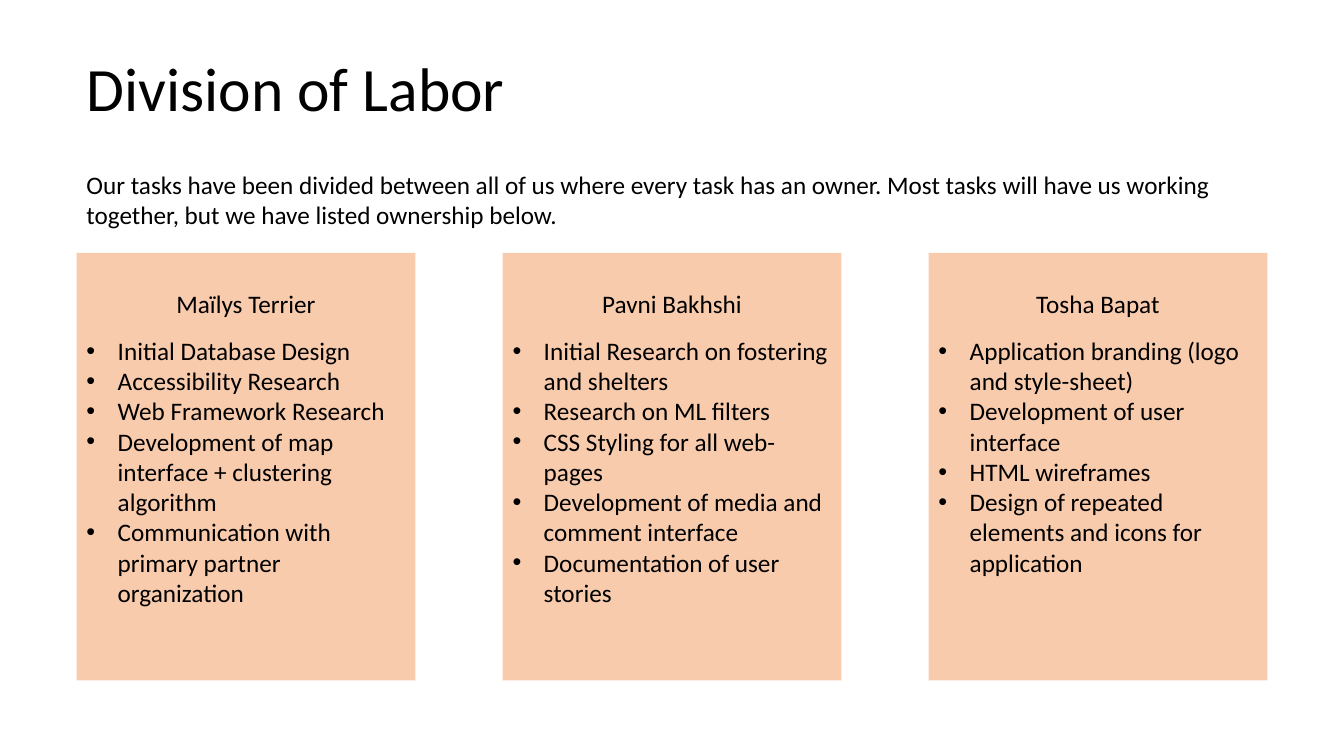
from dataclasses import dataclass

from lxml import etree
from pptx import Presentation
from pptx.dml.color import RGBColor
from pptx.enum.shapes import MSO_SHAPE
from pptx.enum.text import MSO_ANCHOR, MSO_AUTO_SIZE, PP_ALIGN
from pptx.oxml.ns import qn
from pptx.util import Inches, Pt

RECT = MSO_SHAPE.RECTANGLE
TOP, MIDDLE = MSO_ANCHOR.TOP, MSO_ANCHOR.MIDDLE
LEFT, CENTER = PP_ALIGN.LEFT, PP_ALIGN.CENTER
NO_FIT, GROW = MSO_AUTO_SIZE.NONE, MSO_AUTO_SIZE.SHAPE_TO_FIT_TEXT

BLACK = RGBColor(0x00, 0x00, 0x00)
PEACH = RGBColor(0xF8, 0xCB, 0xAD)
FONT = "Calibri"
TITLE_SIZE, BODY_SIZE = Pt(44), Pt(18)

# Grid: one margin, three columns at an equal pitch, three rows
MARGIN = Inches(0.76)
CONTENT_W = Inches(11.5)
COLUMN_PITCH = Inches(4.225)
CARD_W, CARD_H = Inches(3.36), Inches(4.24)
TITLE_TOP, INTRO_TOP, CARD_TOP = Inches(0.18), Inches(1.63), Inches(2.51)
TITLE_H, INTRO_H = Inches(1.45), Inches(0.71)
CARD_INSET = Inches(0.35)
BULLET_INDENT = Inches(0.31)


@dataclass(frozen=True)
class Member:
    """A team member and the tasks they own."""
    name: str
    tasks: tuple[str, ...]


INTRO = ("Our tasks have been divided between all of us where every task has "
         "an owner. Most tasks will have us working together, but we have "
         "listed ownership below.")

MEMBERS = (
    Member("Maïlys Terrier", (
        "Initial Database Design",
        "Accessibility Research",
        "Web Framework Research",
        "Development of map interface + clustering algorithm",
        "Communication with primary partner organization",
    )),
    Member("Pavni Bakhshi", (
        "Initial Research on fostering and shelters",
        "Research on ML filters",
        "CSS Styling for all web-pages",
        "Development of media and comment interface",
        "Documentation of user stories",
    )),
    Member("Tosha Bapat", (
        "Application branding (logo and style-sheet)",
        "Development of user interface",
        "HTML wireframes",
        "Design of repeated elements and icons for application",
    )),
)


def write(p, text: str, size=BODY_SIZE, align=LEFT) -> None:
    """Add one formatted run to a paragraph."""
    p.alignment = align
    r = p.add_run()
    r.text = text
    r.font.name, r.font.size = FONT, size
    r.font.color.rgb = BLACK


def add_bullet(p) -> None:
    """Give a paragraph a hanging round bullet."""
    pPr = p._p.get_or_add_pPr()
    pPr.set("marL", str(BULLET_INDENT))
    pPr.set("indent", str(-BULLET_INDENT))
    etree.SubElement(pPr, qn("a:buFont"), typeface="Arial")
    etree.SubElement(pPr, qn("a:buChar"), char="•")


def add_title(s, text: str) -> None:
    """Place and format the title placeholder."""
    sp = s.shapes.title
    sp.left, sp.top, sp.width, sp.height = MARGIN, TITLE_TOP, CONTENT_W, TITLE_H
    tf = sp.text_frame
    tf.vertical_anchor, tf.auto_size = MIDDLE, NO_FIT
    p = tf.paragraphs[0]
    p.line_spacing = 0.9
    write(p, text, TITLE_SIZE)


def add_intro(s, text: str) -> None:
    """Add the introduction under the title."""
    tf = s.shapes.add_textbox(MARGIN, INTRO_TOP, CONTENT_W, INTRO_H).text_frame
    tf.word_wrap, tf.auto_size = True, GROW
    write(tf.paragraphs[0], text)


def add_card(s, column: int, member: Member) -> None:
    """Add a member's card in the given column."""
    sp = s.shapes.add_shape(RECT, MARGIN + column * COLUMN_PITCH, CARD_TOP,
                            CARD_W, CARD_H)
    sp.shadow.inherit = False
    sp.fill.solid()
    sp.fill.fore_color.rgb = PEACH
    sp.line.fill.background()
    tf = sp.text_frame
    tf.word_wrap, tf.vertical_anchor = True, TOP
    tf.margin_top = CARD_INSET
    p = tf.paragraphs[0]
    p.space_after = Pt(12)
    write(p, member.name, align=CENTER)
    for task in member.tasks:
        p = tf.add_paragraph()
        add_bullet(p)
        write(p, task)


prs = Presentation()
prs.slide_width, prs.slide_height = Inches(13.33), Inches(7.5)
s = prs.slides.add_slide(prs.slide_layouts.get_by_name("Title Only"))
add_title(s, "Division of Labor")
add_intro(s, INTRO)
for column, member in enumerate(MEMBERS):
    add_card(s, column, member)
prs.save("out.pptx")
